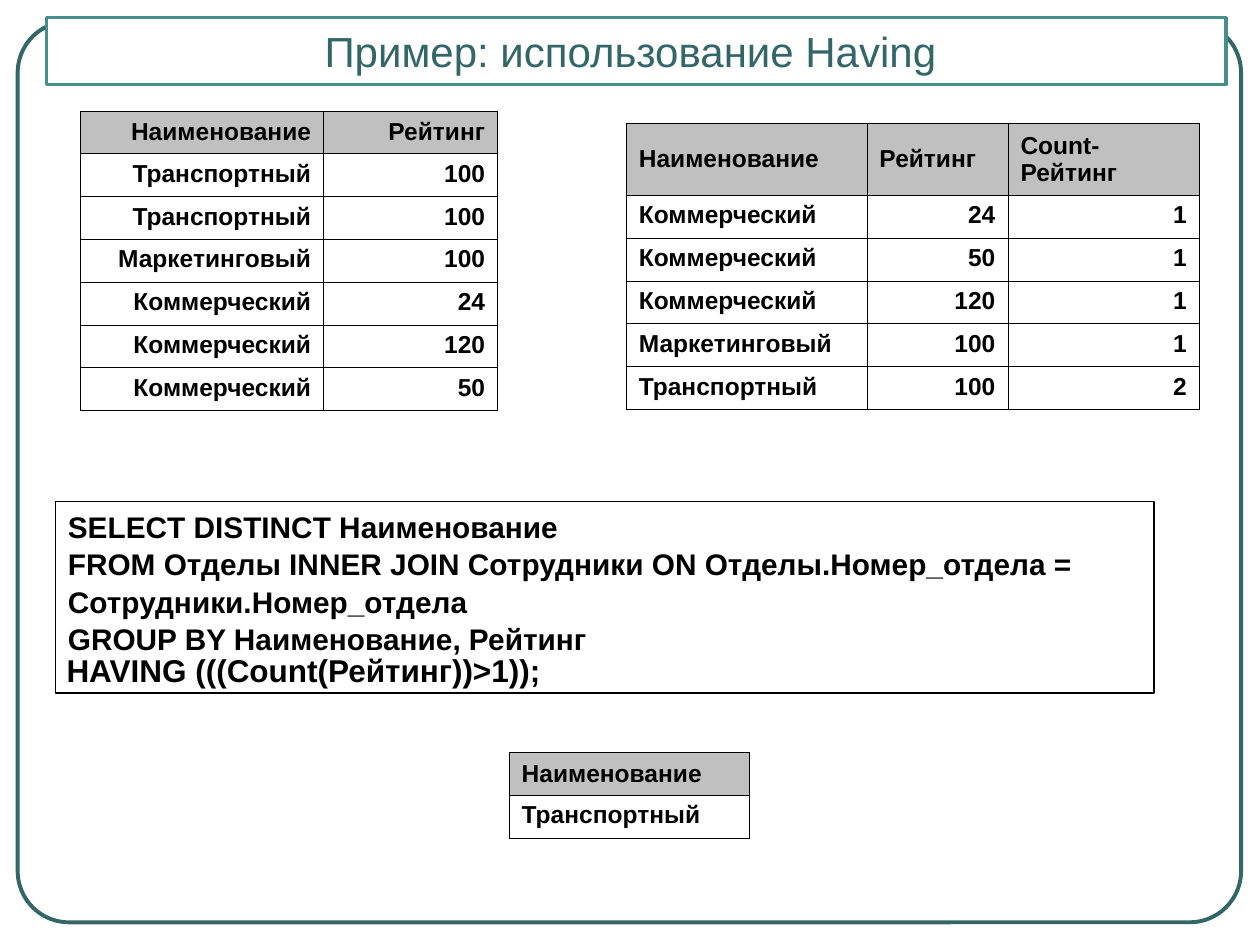
"""Build a slide that explains the SQL HAVING clause with three tables and a query."""
from lxml import etree
from pptx import Presentation
from pptx.dml.color import RGBColor
from pptx.enum.shapes import MSO_SHAPE
from pptx.enum.text import MSO_ANCHOR, PP_ALIGN
from pptx.oxml import parse_xml
from pptx.oxml.ns import nsdecls
from pptx.util import Inches, Pt

LEFT, CENTER, RIGHT = PP_ALIGN.LEFT, PP_ALIGN.CENTER, PP_ALIGN.RIGHT
TOP, MIDDLE = MSO_ANCHOR.TOP, MSO_ANCHOR.MIDDLE
ROUNDED, RECTANGLE = MSO_SHAPE.ROUNDED_RECTANGLE, MSO_SHAPE.RECTANGLE
BLACK = RGBColor(0x00, 0x00, 0x00)
WHITE = RGBColor(0xFF, 0xFF, 0xFF)
GRAY = RGBColor(0xC0, 0xC0, 0xC0)
DARK_TEAL = RGBColor(0x33, 0x66, 0x66)
TEAL = RGBColor(0x49, 0x8D, 0x8A)
ROW_HEIGHT = 0.34


def format_paragraph(paragraph, size, color=BLACK, bold=True, alignment=LEFT):
    paragraph.alignment = alignment
    paragraph.font.name = "Arial"
    paragraph.font.size = Pt(size)
    paragraph.font.bold = bold
    paragraph.font.color.rgb = color


def add_grid(slide, left, top, widths, header_height, header_alignments, body_alignments, rows):
    heights = [header_height] + [ROW_HEIGHT] * (len(rows) - 1)
    table = slide.shapes.add_table(
        len(rows), len(widths), Inches(left), Inches(top),
        Inches(sum(widths)), Inches(sum(heights))).table
    for column, width in zip(table.columns, widths):
        column.width = Inches(width)
    for row_index, values in enumerate(rows):
        is_header = row_index == 0
        table.rows[row_index].height = Inches(heights[row_index])
        alignments = header_alignments if is_header else body_alignments
        for column_index, value in enumerate(values):
            cell = table.cell(row_index, column_index)
            cell.text = value
            cell.vertical_anchor = MIDDLE if is_header else TOP
            format_paragraph(cell.text_frame.paragraphs[0], 14,
                             alignment=alignments[column_index])
            properties = cell._tc.get_or_add_tcPr()
            for side in ("lnL", "lnR", "lnT", "lnB"):
                border = parse_xml(f'<a:{side} {nsdecls("a")} w="{Pt(0.45)}"/>')
                fill = etree.SubElement(border, border.tag.replace(side, "solidFill"))
                etree.SubElement(fill, border.tag.replace(side, "srgbClr"), val=str(BLACK))
                properties.append(border)
            cell.fill.solid()
            cell.fill.fore_color.rgb = GRAY if is_header else WHITE


presentation = Presentation()
presentation.slide_width = Inches(10)
presentation.slide_height = Inches(7.5)
slide = presentation.slides.add_slide(presentation.slide_layouts[5])

title = slide.shapes.title
title.left, title.top, title.width, title.height = (
    Inches(0.37), Inches(0.14), Inches(9.36), Inches(0.53))
title.fill.solid()
title.fill.fore_color.rgb = WHITE
title.line.color.rgb = TEAL
title.line.width = Pt(2)
title.text_frame.text = "Пример: использование Having "
title.text_frame.vertical_anchor = MIDDLE
format_paragraph(title.text_frame.paragraphs[0], 24, DARK_TEAL, False, CENTER)

frame = slide.shapes.add_shape(ROUNDED, Inches(0.14), Inches(0.17), Inches(9.71), Inches(7.15))
frame.adjustments[0] = 0.057
frame.shadow.inherit = False
frame.fill.background()
frame.line.color.rgb = DARK_TEAL
frame.line.width = Pt(2.25)
title.element.addprevious(frame.element)

query = slide.shapes.add_shape(RECTANGLE, Inches(0.44), Inches(3.98), Inches(8.72), Inches(1.52))
query.shadow.inherit = False
query.fill.solid()
query.fill.fore_color.rgb = WHITE
query.line.color.rgb = BLACK
query.line.width = Pt(1)
query.text_frame.word_wrap = True
query.text_frame.vertical_anchor = TOP
query.text_frame.text = "\n".join([
    "SELECT DISTINCT Наименование",
    "FROM Отделы INNER JOIN Сотрудники ON Отделы.Номер_отдела = Сотрудники.Номер_отдела",
    "GROUP BY Наименование, Рейтинг",
])
for paragraph in query.text_frame.paragraphs:
    format_paragraph(paragraph, 17)
    paragraph.line_spacing = 1.04

having = slide.shapes.add_textbox(Inches(0.43), Inches(5.12), Inches(4.64), Inches(0.7))
having.text_frame.word_wrap = True
having.text_frame.text = "HAVING (((Count(Рейтинг))>1));"
format_paragraph(having.text_frame.paragraphs[0], 18)

add_grid(slide, 0.64, 0.88, [1.93, 1.38], ROW_HEIGHT, [RIGHT, RIGHT], [RIGHT, RIGHT], [
    ("Наименование", "Рейтинг"),
    ("Транспортный", "100"),
    ("Транспортный", "100"),
    ("Маркетинговый", "100"),
    ("Коммерческий", "24"),
    ("Коммерческий", "120"),
    ("Коммерческий", "50"),
])
add_grid(slide, 4.97, 0.98, [1.91, 1.12, 1.52], 0.57, [LEFT] * 3, [LEFT, RIGHT, RIGHT], [
    ("Наименование", "Рейтинг", "Count-Рейтинг"),
    ("Коммерческий", "24", "1"),
    ("Коммерческий", "50", "1"),
    ("Коммерческий", "120", "1"),
    ("Маркетинговый", "100", "1"),
    ("Транспортный", "100", "2"),
])
add_grid(slide, 4.04, 5.97, [1.91], ROW_HEIGHT, [LEFT], [LEFT], [
    ("Наименование",),
    ("Транспортный",),
])

presentation.save("out.pptx")
